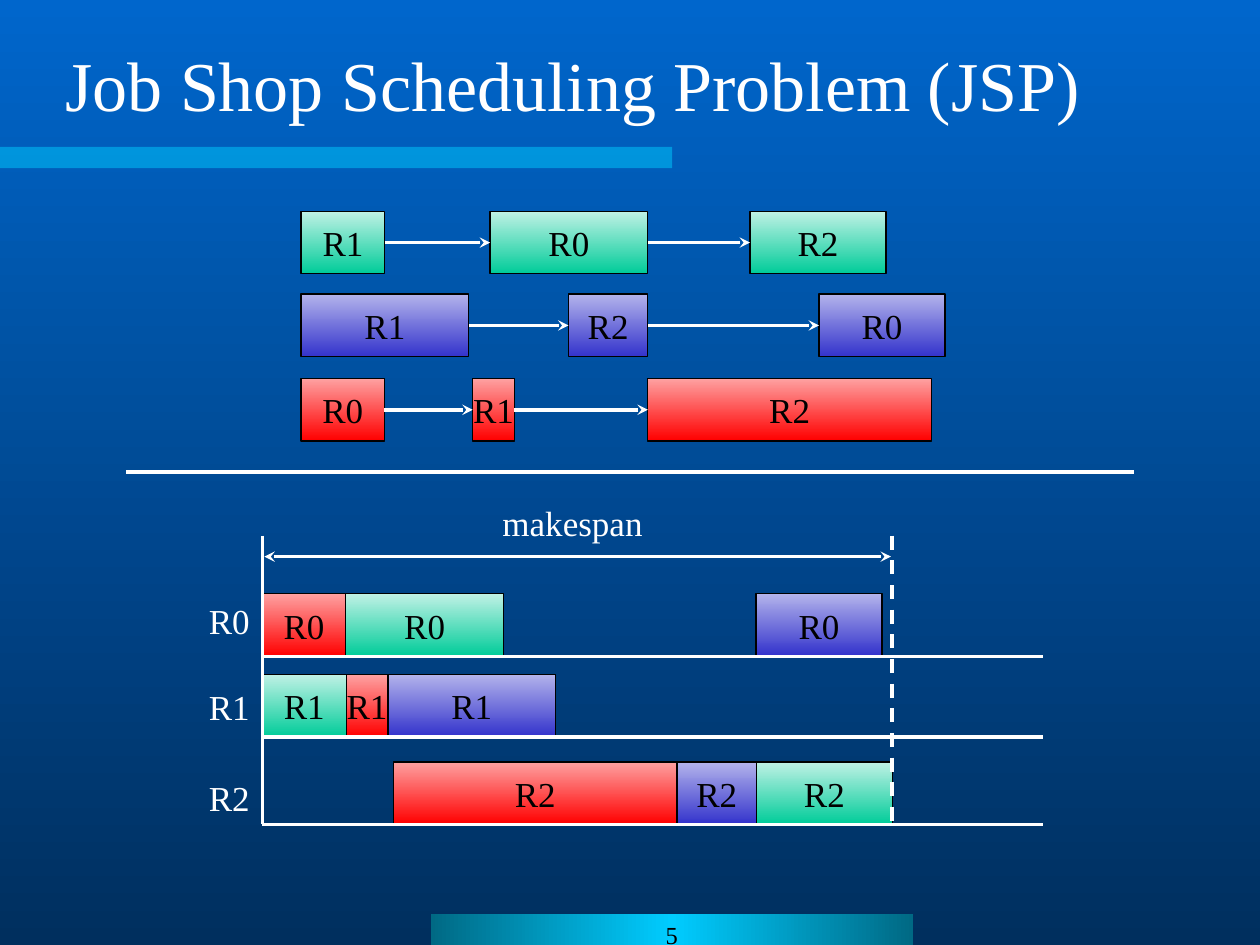
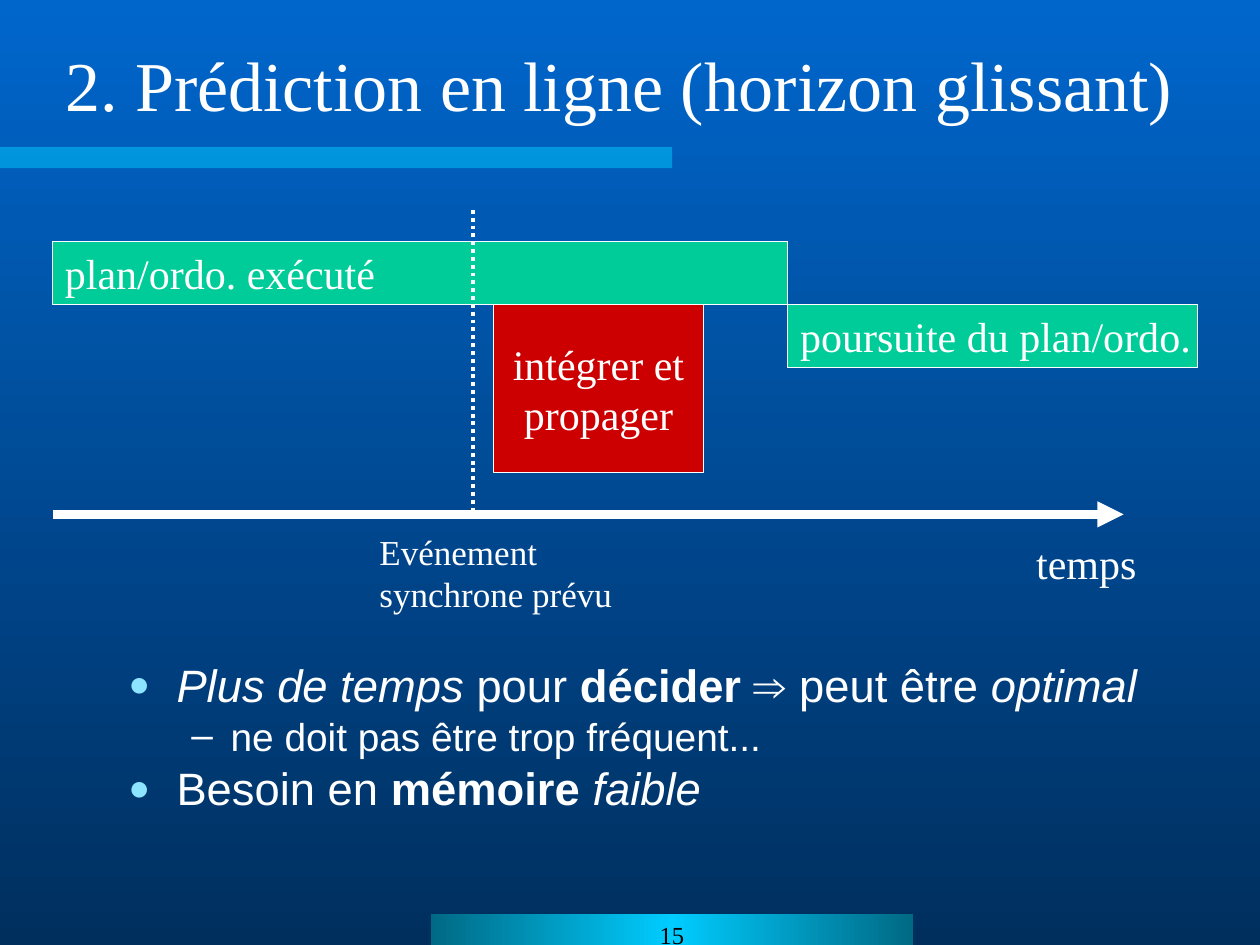
from copy import deepcopy
from dataclasses import dataclass

from pptx import Presentation
from pptx.dml.color import RGBColor
from pptx.enum.dml import MSO_LINE
from pptx.enum.shapes import MSO_CONNECTOR, MSO_SHAPE
from pptx.enum.text import MSO_ANCHOR, PP_ALIGN
from pptx.oxml.ns import qn
from pptx.util import Cm, Pt
from lxml.etree import SubElement


@dataclass(frozen=True)
class Theme:
    serif: str = "Times New Roman"
    sans: str = "Arial"
    white: str = "FFFFFF"
    black: str = "000000"
    accent: str = "00CCFF"
    bullet: str = "8DE4FF"
    plan: str = "00CC99"
    action: str = "CC0000"
    background: tuple = ("0066CC", "002F5E")
    footer: tuple = ("006984", "00CCFF", "006984")
    title_size: float = 40
    label_size: float = 24
    small_size: float = 20
    number_size: float = 14
    body_sizes: tuple = (25.9, 22.2)


THEME = Theme()

JOB_COLOURS = {
    "green": ("C0F1E5", "00CC99"),
    "blue": ("B3B3EB", "3333CC"),
    "red": ("FEA1A1", "FF0000"),
}
# Task lengths in cm, by job and resource
DURATIONS = {
    "green": {"R0": 3.18, "R1": 1.69, "R2": 2.74},
    "blue": {"R0": 2.54, "R1": 3.38, "R2": 1.6},
    "red": {"R0": 1.68, "R1": 0.84, "R2": 5.72},
}
TASK_HEIGHT = 1.26


# Fills and text
def gradient(fill, colours, angle=270):
    fill.gradient()
    fill.gradient_angle = angle
    first = fill.gradient_stops[0]._gs
    for _ in colours[2:]:
        first.addnext(deepcopy(first))
    for i, (stop, colour) in enumerate(zip(fill.gradient_stops, colours)):
        stop.position = i / (len(colours) - 1)
        stop.color.rgb = RGBColor.from_string(colour)


def paint(fill, colours):
    if isinstance(colours, tuple):
        gradient(fill, colours)
    else:
        fill.solid()
        fill.fore_color.rgb = RGBColor.from_string(colours)


def style(paragraph, size, colour=THEME.white, font=THEME.serif):
    paragraph.font.size = Pt(size)
    paragraph.font.name = font
    paragraph.font.color.rgb = RGBColor.from_string(colour)


def write(frame, lines, size, colour=THEME.white, align=PP_ALIGN.LEFT,
          anchor=MSO_ANCHOR.TOP, wrap=False):
    frame.word_wrap = wrap
    frame.vertical_anchor = anchor
    for i, line_text in enumerate(lines):
        paragraph = frame.add_paragraph() if i else frame.paragraphs[0]
        paragraph.text = line_text
        paragraph.alignment = align
        style(paragraph, size, colour)


# Elements
def label(slide, lines, left, top, width, height, size, **options):
    box = slide.shapes.add_textbox(Cm(left), Cm(top), Cm(width), Cm(height))
    write(box.text_frame, lines, size, **options)


def block(slide, left, top, width, height, colours, outline=None):
    rect = slide.shapes.add_shape(MSO_SHAPE.RECTANGLE, Cm(left), Cm(top),
                                  Cm(width), Cm(height))
    rect.shadow.inherit = False
    paint(rect.fill, colours)
    if outline:
        rect.line.color.rgb = RGBColor.from_string(outline)
        rect.line.width = Pt(0.75)
    else:
        rect.line.fill.background()
    return rect


def line(slide, start=(0, 0), end=(0, 0), width=2, dash=None, head=None,
         tail=None, link=None):
    connector = slide.shapes.add_connector(
        MSO_CONNECTOR.STRAIGHT, *(Cm(v) for v in (*start, *end)))
    if link:
        connector.begin_connect(link[0], 3)
        connector.end_connect(link[1], 1)
    connector.line.color.rgb = RGBColor.from_string(THEME.white)
    connector.line.width = Pt(width)
    if dash:
        connector.line.dash_style = dash
    properties = connector._element.spPr
    for tag, arrow in (("a:headEnd", head), ("a:tailEnd", tail)):
        if arrow:
            SubElement(properties.find(qn("a:ln")), qn(tag), type=arrow)
    SubElement(properties, qn("a:effectLst"))


def task(slide, job, resource, left, top):
    box = block(slide, left, top, DURATIONS[job][resource], TASK_HEIGHT,
                JOB_COLOURS[job], THEME.black)
    write(box.text_frame, [resource], THEME.small_size, THEME.black,
          PP_ALIGN.CENTER, MSO_ANCHOR.MIDDLE)
    return box


def step(slide, text, left, top, width, height, colour,
         align=PP_ALIGN.LEFT, wrap=False):
    box = block(slide, left, top, width, height, colour, THEME.white)
    write(box.text_frame, [text], THEME.label_size, align=align,
          anchor=MSO_ANCHOR.MIDDLE, wrap=wrap)


def bullet_list(slide, items, left, top, width, height):
    box = slide.shapes.add_textbox(Cm(left), Cm(top), Cm(width), Cm(height))
    frame = box.text_frame
    frame.word_wrap = True
    levels = (("●", THEME.bullet, 80, 0.97, 0.97, 7),
              ("–", THEME.white, 100, 2.06, 0.79, 6))
    for i, (level, runs) in enumerate(items):
        mark, colour, percent, margin, hanging, before = levels[level]
        paragraph = frame.add_paragraph() if i else frame.paragraphs[0]
        paragraph.level = level
        paragraph.line_spacing = 0.8
        paragraph.space_before = Pt(before if i else 0)
        properties = paragraph._p.get_or_add_pPr()
        properties.set("marL", str(Cm(margin)))
        properties.set("indent", str(-Cm(hanging)))
        SubElement(SubElement(properties, qn("a:buClr")), qn("a:srgbClr"), val=colour)
        SubElement(properties, qn("a:buSzPct"), val=str(percent * 1000))
        SubElement(properties, qn("a:buFont"), typeface=THEME.sans)
        SubElement(properties, qn("a:buChar"), char=mark)
        style(paragraph, THEME.body_sizes[level], font=THEME.sans)
        for text, emphasis in runs:
            run = paragraph.add_run()
            run.text = text
            run.font.bold = emphasis == "bold"
            run.font.italic = emphasis == "italic"


# Shared slide frame
def new_slide(deck, title, number):
    slide = deck.slides.add_slide(deck.slide_layouts[6])
    gradient(slide.background.fill, THEME.background)
    title_band = block(slide, 0, 2.96, 13.55, 0.43, THEME.accent)
    band_colour = title_band._element.spPr.find(".//" + qn("a:srgbClr"))
    SubElement(band_colour, qn("a:alpha"), val="50000")
    footer = block(slide, 8.68, 18.42, 9.73, 0.63, THEME.accent)
    gradient(footer.fill, THEME.footer, 180)
    write(footer.text_frame, [str(number)], THEME.number_size, THEME.black,
          PP_ALIGN.CENTER, wrap=True)
    label(slide, [title], 1.07, 0.63, 23.93, 2.12, THEME.title_size,
          anchor=MSO_ANCHOR.MIDDLE, wrap=True)
    return slide


def job_shop_slide(deck):
    slide = new_slide(deck, "Job Shop Scheduling Problem (JSP)", 5)

    # Task order of each job
    jobs = [
        ("green", 4.26, [("R1", 6.07), ("R0", 9.88), ("R2", 15.12)]),
        ("blue", 5.93, [("R1", 6.07), ("R2", 11.46), ("R0", 16.51)]),
        ("red", 7.63, [("R0", 6.07), ("R1", 9.53), ("R2", 13.06)]),
    ]
    for job, top, sequence in jobs:
        tasks = [task(slide, job, resource, left, top) for resource, left in sequence]
        for pair in zip(tasks, tasks[1:]):
            line(slide, link=pair, tail="stealth")
    line(slide, (2.54, 9.52), (22.86, 9.52))

    # Schedule: each resource runs its tasks back to back within a group
    origin, makespan_end, chart_top = 5.29, 17.98, 10.8
    schedule = [
        ("R0", 11.97, 11.96, [(origin, ["red", "green"]), (15.24, ["blue"])]),
        ("R1", 13.6, 13.69, [(origin, ["green", "red", "blue"])]),
        ("R2", 15.36, 15.52, [(7.93, ["red", "blue", "green"])]),
    ]
    for resource, top, label_top, groups in schedule:
        label(slide, [resource], 3.96, label_top, 1.5, 1.12, THEME.small_size)
        for left, group in groups:
            for job in group:
                task(slide, job, resource, left, top)
                left += DURATIONS[job][resource]
        baseline = top + TASK_HEIGHT
        line(slide, (origin, baseline), (21.02, baseline))
    line(slide, (origin, chart_top), (origin, baseline))
    line(slide, (makespan_end, chart_top), (makespan_end, baseline), dash=MSO_LINE.DASH)

    # Makespan
    line(slide, (5.33, 11.22), (17.96, 11.22), head="stealth", tail="stealth")
    label(slide, ["makespan"], 9.88, 9.98, 3.5, 1.12, THEME.small_size)


def prediction_slide(deck):
    slide = new_slide(deck, "2. Prédiction en ligne (horizon glissant)", 15)

    # Time axis
    line(slide, (1.06, 10.37), (22.65, 10.37), width=5, tail="triangle")
    label(slide, ["temps"], 20.64, 10.71, 2.7, 1.27, THEME.label_size)

    # Plan, expected event and reaction
    step(slide, "plan/ordo. exécuté", 1.06, 4.87, 14.82, 1.27, THEME.plan)
    line(slide, (9.53, 4.23), (9.53, 10.48), width=2.25, dash=MSO_LINE.ROUND_DOT)
    label(slide, ["Evénement", "synchrone prévu"], 7.4, 10.57, 5.4, 1.96,
          THEME.small_size)
    step(slide, "intégrer et propager", 9.95, 6.14, 4.23, 3.39, THEME.action,
         PP_ALIGN.CENTER, wrap=True)
    step(slide, "poursuite du plan/ordo.", 15.88, 6.14, 8.26, 1.27, THEME.plan)

    # Conclusions
    bullet_list(slide, [
        (0, [("Plus de temps", "italic"), (" pour ", None), ("décider ", "bold"),
             ("⇒ peut être ", None), ("optimal", "italic")]),
        (1, [("ne doit pas être trop fréquent...", None)]),
        (0, [("Besoin en ", None), ("mémoire ", "bold"), ("faible", "italic")]),
    ], 2.34, 13.33, 22.65, 3.81)


def main():
    deck = Presentation()
    deck.slide_width, deck.slide_height = Cm(25.4), Cm(19.05)
    job_shop_slide(deck)
    prediction_slide(deck)
    deck.save("out.pptx")


if __name__ == "__main__":
    main()
